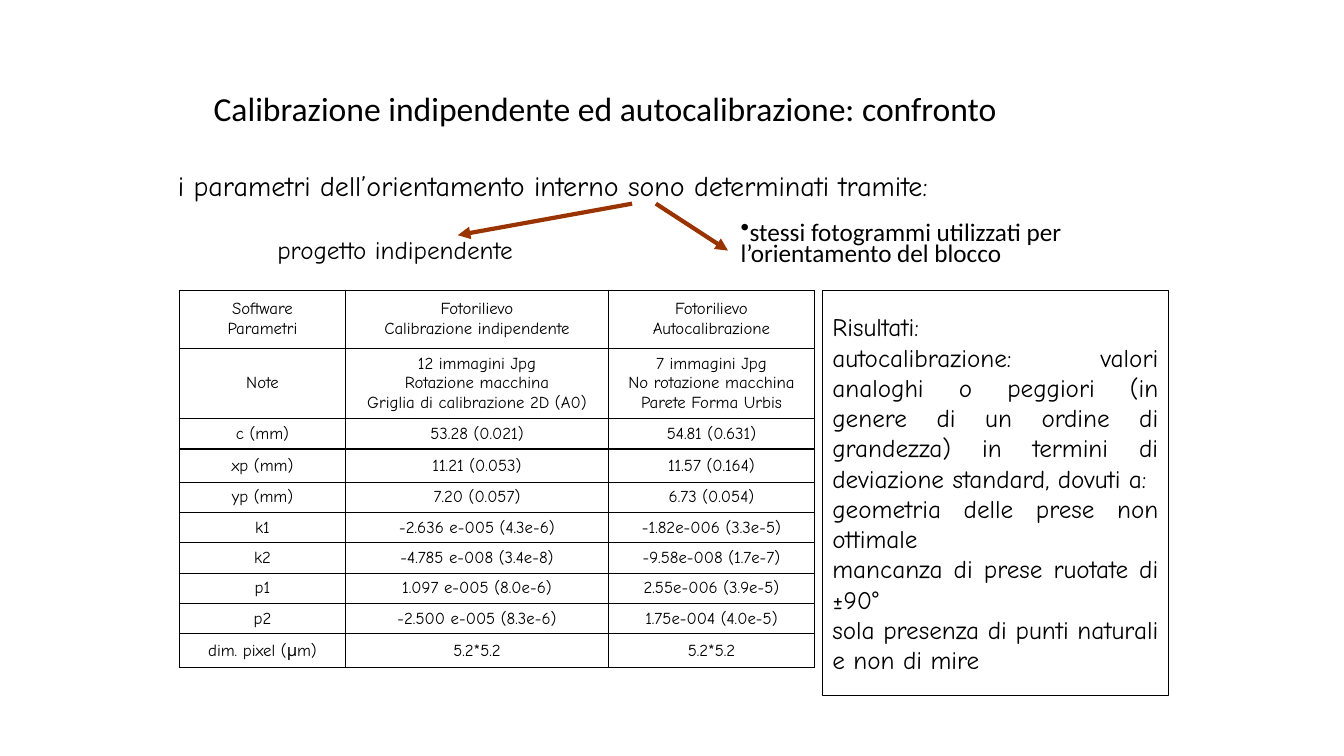
from dataclasses import dataclass

from lxml.etree import SubElement
from pptx import Presentation
from pptx.dml.color import RGBColor
from pptx.enum.shapes import MSO_CONNECTOR, MSO_SHAPE
from pptx.enum.text import MSO_ANCHOR, PP_ALIGN
from pptx.oxml import parse_xml
from pptx.oxml.ns import nsdecls, qn
from pptx.util import Pt


@dataclass(frozen=True)
class Theme:
    ink: str = "000000"
    arrow: str = "993300"
    plain: str = "Calibri"
    hand: str = "Comic Neue"
    title: int = 24
    lead: int = 20
    body: int = 18
    cell: int = 12


def write_text(frame, text, *, font, size, color, align=PP_ALIGN.LEFT,
               anchor=MSO_ANCHOR.TOP, spacing=None, bullet=None):
    """Fill a text frame, one paragraph per line of text."""
    frame.word_wrap = True
    frame.vertical_anchor = anchor
    for number, line in enumerate(text.split("\n")):
        paragraph = frame.add_paragraph() if number else frame.paragraphs[0]
        if bullet:
            properties = paragraph._p.get_or_add_pPr()
            SubElement(properties, qn("a:buChar")).set("char", bullet)
        paragraph.alignment = align
        if spacing:
            paragraph.line_spacing = spacing
        run = paragraph.add_run()
        run.text = line
        run.font.name = font
        run.font.size = Pt(size)
        run.font.color.rgb = RGBColor.from_string(color)


class SlideBuilder:
    def __init__(self, slide, theme):
        self.slide = slide
        self.theme = theme

    def text(self, box, text, **style):
        shape = self.slide.shapes.add_textbox(*map(Pt, box))
        write_text(shape.text_frame, text, color=self.theme.ink, **style)

    def panel(self, box, text, **style):
        shape = self.slide.shapes.add_shape(MSO_SHAPE.RECTANGLE, *map(Pt, box))
        shape.shadow.inherit = False
        shape.fill.background()
        shape.line.color.rgb = RGBColor.from_string(self.theme.ink)
        shape.line.width = Pt(0.75)
        write_text(shape.text_frame, text, color=self.theme.ink, **style)

    def arrow(self, start, end):
        connector = self.slide.shapes.add_connector(
            MSO_CONNECTOR.STRAIGHT, *map(Pt, start + end))
        connector.line.color.rgb = RGBColor.from_string(self.theme.arrow)
        connector.line.width = Pt(3)
        SubElement(connector.line._get_or_add_ln(), qn("a:tailEnd")).set("type", "triangle")
        SubElement(connector._element.spPr, qn("a:effectLst"))

    def border(self, cell):
        properties = cell._tc.get_or_add_tcPr()
        for index, side in enumerate("LRTB"):
            properties.insert(index, parse_xml(
                f'<a:ln{side} {nsdecls("a")} w="{Pt(1)}"><a:solidFill>'
                f'<a:srgbClr val="{self.theme.ink}"/></a:solidFill></a:ln{side}>'))

    def table(self, left, top, widths, heights, rows):
        table = self.slide.shapes.add_table(
            len(rows), len(widths), Pt(left), Pt(top),
            Pt(sum(widths)), Pt(sum(heights))).table
        table.first_row = table.horz_banding = False
        for column, width in zip(table.columns, widths):
            column.width = Pt(width)
        for row, height, texts in zip(table.rows, heights, rows):
            row.height = Pt(height)
            for cell, text in zip(row.cells, texts):
                write_text(cell.text_frame, text, font=self.theme.hand,
                           size=self.theme.cell, color=self.theme.ink,
                           align=PP_ALIGN.CENTER)
                cell.vertical_anchor = MSO_ANCHOR.MIDDLE
                cell.fill.background()
                self.border(cell)


PARAMETERS = [
    ("Software\nParametri", "Fotorilievo\nCalibrazione indipendente",
     "Fotorilievo\nAutocalibrazione"),
    ("Note", "12 immagini Jpg\nRotazione macchina\nGriglia di calibrazione 2D (A0)",
     "7 immagini Jpg\nNo rotazione macchina\nParete Forma Urbis"),
    ("c (mm)", "53.28 (0.021)", "54.81 (0.631)"),
    ("xp (mm)", "11.21 (0.053)", "11.57 (0.164)"),
    ("yp (mm)", "7.20 (0.057)", "6.73 (0.054)"),
    ("k1", "-2.636 e-005 (4.3e-6)", "-1.82e-006 (3.3e-5)"),
    ("k2", "-4.785 e-008 (3.4e-8)", "-9.58e-008 (1.7e-7)"),
    ("p1", "1.097 e-005 (8.0e-6)", "2.55e-006 (3.9e-5)"),
    ("p2", "-2.500 e-005 (8.3e-6)", "1.75e-004 (4.0e-5)"),
    ("dim. pixel (μm)", "5.2*5.2", "5.2*5.2"),
]

RESULTS = """Risultati:
autocalibrazione: valori analoghi o peggiori (in genere di un ordine di grandezza) in termini di deviazione standard, dovuti a:
geometria delle prese non ottimale
mancanza di prese ruotate di ±90°
sola presenza di punti naturali e non di mire"""


def main():
    presentation = Presentation()
    presentation.slide_width, presentation.slide_height = Pt(960), Pt(540)
    theme = Theme()
    builder = SlideBuilder(
        presentation.slides.add_slide(presentation.slide_layouts[6]), theme)

    # Title and lead sentence
    builder.text((145.5, 61, 659, 36),
                 "Calibrazione indipendente ed autocalibrazione: confronto",
                 font=theme.plain, size=theme.title, spacing=0.9,
                 anchor=MSO_ANCHOR.MIDDLE)
    builder.text((120, 117, 604, 31),
                 "i parametri dell’orientamento interno sono determinati tramite:",
                 font=theme.hand, size=theme.lead)

    # The two ways of calibrating
    builder.text((191, 168, 252, 25), "progetto indipendente",
                 font=theme.hand, size=theme.body, spacing=0.8)
    builder.text((522, 157, 318, 42),
                 "stessi fotogrammi utilizzati per l’orientamento del blocco",
                 font=theme.plain, size=theme.body, spacing=0.7, bullet="•")
    builder.arrow((451.5, 145.5), (327, 168))
    builder.arrow((468.5, 145.5), (520, 179))

    # Parameter table
    line_height = 21.1
    heights = [41.4, 48.6, line_height, 23.8] + [line_height] * 5 + [24.3]
    builder.table(128, 207.3, (119, 187.5, 147.5), heights, PARAMETERS)

    # Results
    builder.panel((587.5, 207.7, 247, 289), RESULTS, font=theme.hand,
                  size=theme.body, align=PP_ALIGN.JUSTIFY,
                  anchor=MSO_ANCHOR.MIDDLE)

    presentation.save("out.pptx")


if __name__ == "__main__":
    main()
